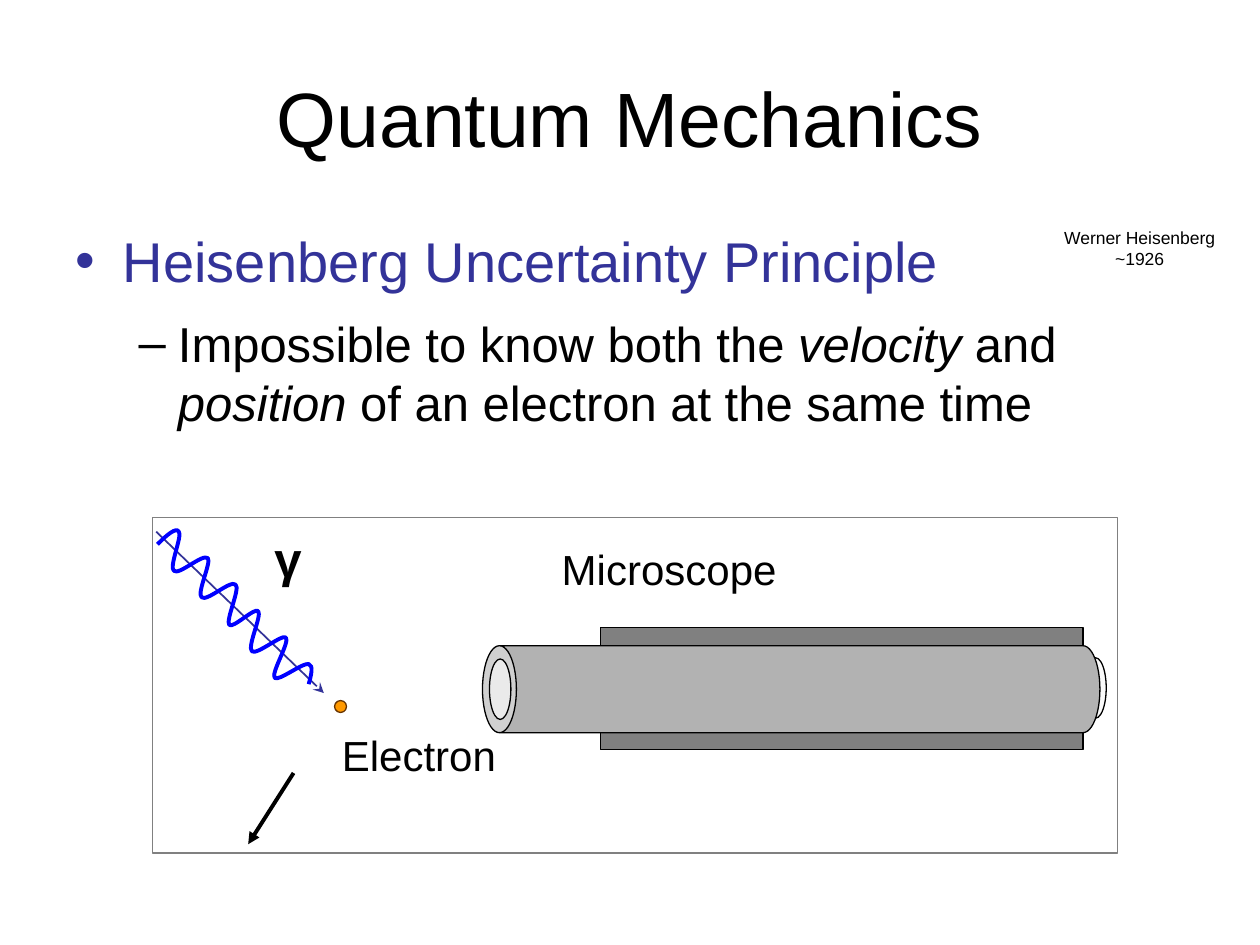
from lxml import etree
from pptx import Presentation
from pptx import util as u
from pptx.dml.color import RGBColor
from pptx.enum import shapes, text
from pptx.oxml.ns import qn

COLORS = {
    "ink": "000000", "heading": "333399", "wave": "0000FF",
    "tube": "B2B2B2", "housing": "808080", "lens": "F8F8F8",
    "electron": "FF9900", "electron edge": "663300",
}
FONT = "Arial"
COLUMNS, ROWS = 100, 75

WAVE_START = (12.5, 43.2)
WAVE_CURVES = [
    ((13.2, 42.5), (14, 41.8), (14.2, 42.2)),
    ((14.5, 42.5), (13.4, 45), (13.8, 45.3)),
    ((14.2, 45.7), (16.1, 43.9), (16.5, 44.3)),
    ((16.8, 44.6), (15.6, 47.1), (16, 47.4)),
    ((16.4, 47.8), (18.3, 46), (18.7, 46.4)),
    ((19.1, 46.7), (17.9, 49.2), (18.2, 49.6)),
    ((18.5, 49.9), (20.2, 48.2), (20.5, 48.5)),
    ((20.8, 48.9), (19.6, 51.3), (20, 51.7)),
    ((20.4, 52), (22.4, 50.3), (22.7, 50.6)),
    ((23, 51), (21.5, 53.4), (21.8, 53.8)),
    ((22.1, 54.1), (24, 52.6), (24.5, 52.7)),
    ((24.9, 52.8), (24.7, 53.6), (24.5, 54.3)),
]


class SlideBuilder:
    def __init__(self, presentation):
        self.slide = presentation.slides.add_slide(presentation.slide_layouts[1])
        self.column = presentation.slide_width / COLUMNS
        self.row = presentation.slide_height / ROWS

    def grid(self, *lengths):
        units = (self.column, self.row)
        return [round(length * units[i % 2]) for i, length in enumerate(lengths)]

    def color(self, name):
        return RGBColor.from_string(COLORS[name])

    def style_line(self, line, color, width):
        line.color.rgb = self.color(color)
        line.width = u.Pt(width)

    def style_text(self, paragraph, size, color="ink", align=None, bold=None):
        paragraph.font.name = FONT
        paragraph.font.size = u.Pt(size)
        paragraph.font.bold = bold
        paragraph.font.color.rgb = self.color(color)
        paragraph.alignment = align

    def place(self, placeholder, box):
        placeholder.left, placeholder.top, placeholder.width, placeholder.height = self.grid(*box)
        placeholder.text_frame.auto_size = text.MSO_AUTO_SIZE.NONE
        return placeholder.text_frame

    def title(self, words, box):
        frame = self.place(self.slide.shapes.title, box)
        frame.text = words
        frame.vertical_anchor = text.MSO_ANCHOR.MIDDLE
        self.style_text(frame.paragraphs[0], 44, align=text.PP_ALIGN.CENTER)

    def body(self, items, box):
        frame = self.place(self.slide.placeholders[1], box)
        for i, (level, runs, size, color, space) in enumerate(items):
            paragraph = frame.add_paragraph() if i else frame.paragraphs[0]
            paragraph.level = level
            paragraph.space_before = u.Pt(space)
            self.style_text(paragraph, size, color)
            for words, italic in runs:
                run = paragraph.add_run()
                run.text = words
                run.font.italic = italic

    def label(self, words, box, size, align=None, bold=None):
        frame = self.slide.shapes.add_textbox(*self.grid(*box)).text_frame
        frame.text = words
        frame.word_wrap = False
        frame.auto_size = text.MSO_AUTO_SIZE.SHAPE_TO_FIT_TEXT
        for paragraph in frame.paragraphs:
            self.style_text(paragraph, size, align=align, bold=bold)

    def shape(self, kind, box, fill=None, line="ink", opacity=None):
        shape = self.slide.shapes.add_shape(kind, *self.grid(*box))
        shape.shadow.inherit = False
        if fill:
            shape.fill.solid()
            shape.fill.fore_color.rgb = self.color(fill)
        else:
            shape.fill.background()
        if opacity:
            tint = shape.fill._xPr.find(".//" + qn("a:srgbClr"))
            etree.SubElement(tint, qn("a:alpha")).set("val", str(opacity * 1000))
        self.style_line(shape.line, line, 0.75)
        return shape

    def lens(self, box):
        self.shape(shapes.MSO_SHAPE.OVAL, box, "lens", opacity=66)

    def tube(self, box, rim):
        left, top, width, height = box
        upright = (left + (width - height) / 2, top + (height - width) / 2, height, width)
        shape = self.shape(shapes.MSO_SHAPE.CAN, upright, "tube")
        shape.rotation = 270
        shape.adjustments[0] = rim

    def arrow(self, start, end, color, width, head):
        connector = self.slide.shapes.add_connector(
            shapes.MSO_CONNECTOR.STRAIGHT, *self.grid(*start, *end))
        self.style_line(connector.line, color, width)
        line = connector.line._get_or_add_ln()
        etree.SubElement(line, qn("a:tailEnd")).set("type", head)
        etree.SubElement(connector._element.spPr, qn("a:effectLst"))

    def wave(self, start, curves, color, width):
        builder = self.slide.shapes.build_freeform(*self.grid(*start))
        points = [self.grid(*point) for curve in curves for point in curve]
        builder.add_line_segments(points, close=False)
        shape = builder.convert_to_shape()
        segments = list(shape._element.iter(qn("a:lnTo")))
        for first, second, end in zip(*[iter(segments)] * 3):
            first.tag = qn("a:cubicBezTo")
            for segment in (second, end):
                first.append(segment[0])
                segment.getparent().remove(segment)
        shape.shadow.inherit = False
        shape.fill.background()
        self.style_line(shape.line, color, width)


def main():
    presentation = Presentation()
    presentation.slide_width, presentation.slide_height = u.Inches(10), u.Inches(7.5)
    builder = SlideBuilder(presentation)
    oval, rectangle = shapes.MSO_SHAPE.OVAL, shapes.MSO_SHAPE.RECTANGLE

    builder.title("Quantum Mechanics", (5, 3, 90, 12.5))
    builder.body([
        (0, [("Heisenberg Uncertainty Principle", None)], 32, "heading", 0),
        (1, [("Impossible to know both the ", None), ("velocity", True), (" and ", None),
             ("position", True), (" of an electron at the same time", None)], 28, "ink", 11.2),
    ], (5, 17.5, 90, 20.6))

    builder.lens((86.1, 52.2, 1.7, 4.8))
    builder.shape(rectangle, (47.65, 49.8, 38.3, 9.7), "housing")
    builder.arrow((12.4, 42.2), (25.7, 55), "heading", 1, "stealth")
    builder.wave(WAVE_START, WAVE_CURVES, "wave", 2.25)
    builder.tube((38.3, 51.25, 49, 6.9), 0.39)
    builder.lens((38.85, 52.3, 1.7, 4.8))
    builder.label("Microscope", (43.6, 42.65, 19.1, 5), 24)
    builder.label("Electron", (26.15, 57.4, 14.3, 5), 24)
    builder.shape(rectangle, (12.1, 41.05, 76.6, 26.65), line="housing")
    builder.arrow((23.3, 61.35), (19.7, 67), "ink", 2.25, "triangle")
    builder.label("γ", (20.8, 41.45, 3.6, 5.7), 28, bold=True)
    builder.shape(oval, (26.55, 55.6, 0.95, 0.95), "electron", "electron edge")
    builder.label("Werner Heisenberg\n~1926", (83.45, 17.55, 14, 4.3), 10, text.PP_ALIGN.CENTER)

    presentation.save("out.pptx")


if __name__ == "__main__":
    main()
